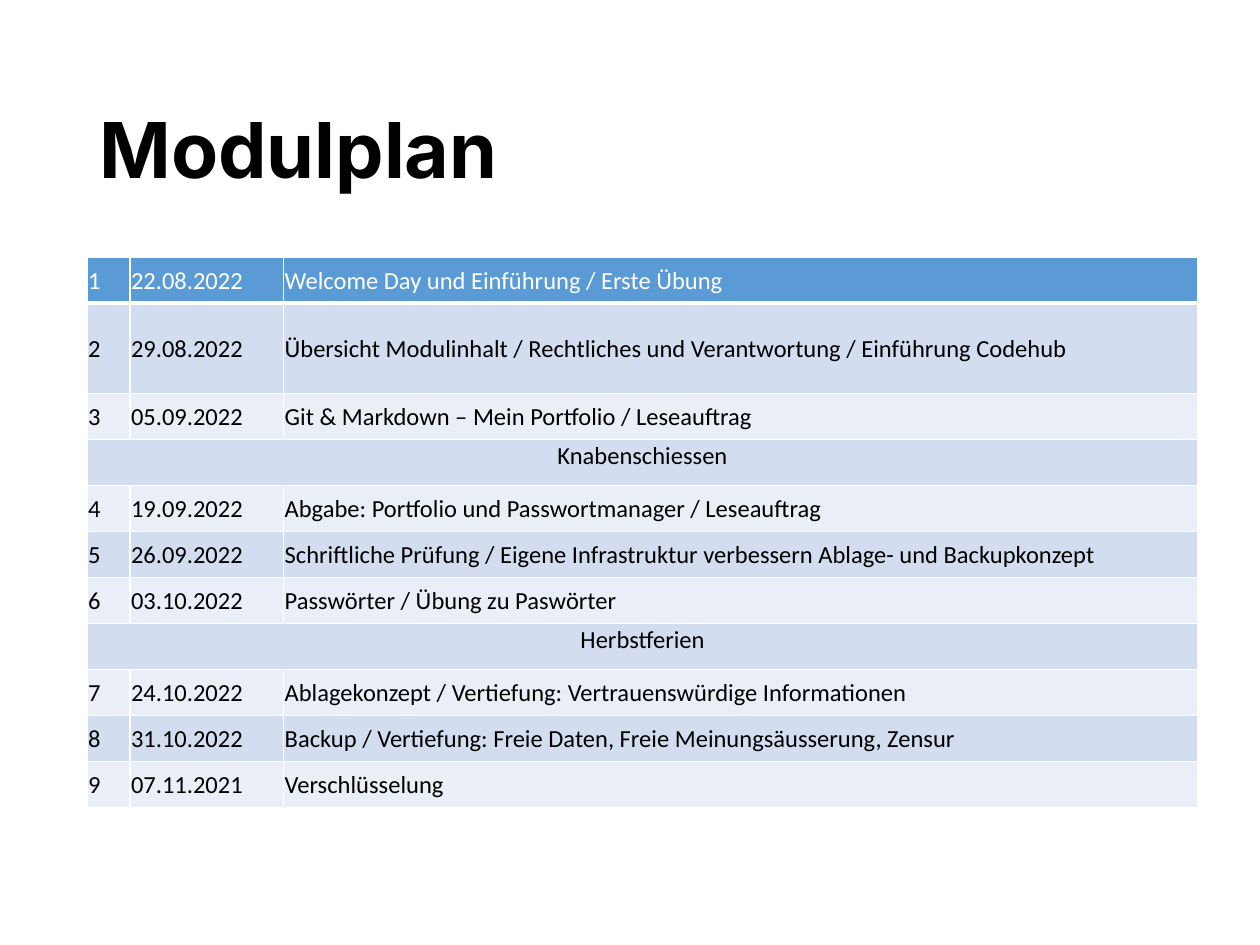
from lxml import etree
from pptx import Presentation
from pptx.dml.color import RGBColor
from pptx.enum.text import MSO_ANCHOR, PP_ALIGN
from pptx.oxml.ns import qn
from pptx.util import Inches, Pt

LEFT, CENTER = PP_ALIGN.LEFT, PP_ALIGN.CENTER
TOP, MIDDLE = MSO_ANCHOR.TOP, MSO_ANCHOR.MIDDLE

WHITE, BLACK = "FFFFFF", "000000"
HEADER_FILL = "5B9BD5"
BAND_FILLS = ("EAEFF7", "D2DEEF")
COLUMN_WIDTHS = (0.34, 1.22, 7.26)
TABLE_HEIGHT, TALL_ROW_HEIGHT = 4.37, 0.72
TALL_ROW = 1

SCHEDULE = [
    ("1", "22.08.2022", "Welcome Day und Einführung / Erste Übung"),
    ("2", "29.08.2022", "Übersicht Modulinhalt / Rechtliches und Verantwortung / Einführung Codehub"),
    ("3", "05.09.2022", "Git & Markdown – Mein Portfolio / Leseauftrag"),
    ("Knabenschiessen",),
    ("4", "19.09.2022", "Abgabe: Portfolio und Passwortmanager / Leseauftrag"),
    ("5", "26.09.2022", "Schriftliche Prüfung / Eigene Infrastruktur verbessern Ablage- und Backupkonzept"),
    ("6", "03.10.2022", "Passwörter / Übung zu Paswörter"),
    ("Herbstferien",),
    ("7", "24.10.2022", "Ablagekonzept / Vertiefung: Vertrauenswürdige Informationen"),
    ("8", "31.10.2022", "Backup / Vertiefung: Freie Daten, Freie Meinungsäusserung, Zensur"),
    ("9", "07.11.2021", "Verschlüsselung"),
]


def color(value):
    return RGBColor.from_string(value)


def apply(target, values):
    for name, value in values.items():
        setattr(target, name, value)


class PageBuilder:
    title_font = {"name": "Inter", "size": Pt(44), "bold": True}
    table_font = {"name": "Calibri", "size": Pt(14), "bold": False}
    cell_margins = {
        "margin_left": Inches(0.01),
        "margin_top": Inches(0.01),
        "margin_right": Inches(0.01),
        "margin_bottom": 0,
    }

    def __init__(self, page):
        self.page = page

    def add_text(self, frame, text, font, text_color, align=LEFT):
        para = frame.paragraphs[0]
        para.alignment = align
        span = para.add_run()
        span.text = text
        apply(span.font, font)
        span.font.color.rgb = color(text_color)
        return para

    def title(self, text, left, top, width, height):
        box = self.page.shapes.title
        apply(box, {"left": Inches(left), "top": Inches(top),
                    "width": Inches(width), "height": Inches(height)})
        apply(box.text_frame, {"word_wrap": True, "vertical_anchor": TOP})
        para = self.add_text(box.text_frame, text, self.title_font, BLACK)
        para.line_spacing = 0.9

    def borders(self, cell, bottom_width):
        properties = cell._tc.get_or_add_tcPr()
        for side, width in (("L", 1), ("R", 1), ("T", 1), ("B", bottom_width)):
            line = etree.SubElement(properties, qn(f"a:ln{side}"), w=str(Pt(width)))
            fill = etree.SubElement(line, qn("a:solidFill"))
            etree.SubElement(fill, qn("a:srgbClr"), val=WHITE)

    def cell(self, cell, fill, bottom_width, anchor):
        self.borders(cell, bottom_width)
        cell.fill.solid()
        cell.fill.fore_color.rgb = color(fill)
        apply(cell, {**self.cell_margins, "vertical_anchor": anchor})

    def schedule(self, entries, left, top):
        frame = self.page.shapes.add_table(
            len(entries), len(COLUMN_WIDTHS), Inches(left), Inches(top),
            Inches(sum(COLUMN_WIDTHS)), Inches(TABLE_HEIGHT))
        table = frame.table
        for column, width in zip(table.columns, COLUMN_WIDTHS):
            column.width = Inches(width)
        row_height = (TABLE_HEIGHT - TALL_ROW_HEIGHT) / (len(entries) - 1)
        for index, entry in enumerate(entries):
            table.rows[index].height = Inches(TALL_ROW_HEIGHT if index == TALL_ROW else row_height)
            header, holiday = index == 0, len(entry) == 1
            fill = HEADER_FILL if header else BAND_FILLS[index % 2]
            for cell in table.rows[index].cells:
                self.cell(cell, fill, 3 if header else 1, TOP if holiday else MIDDLE)
            if holiday:
                table.cell(index, 0).merge(table.cell(index, len(COLUMN_WIDTHS) - 1))
            for column, text in enumerate(entry):
                self.add_text(table.cell(index, column).text_frame, text, self.table_font,
                              WHITE if header else BLACK, CENTER if holiday else LEFT)


def main():
    deck = Presentation()
    deck.slide_width, deck.slide_height = Inches(10), Inches(7.5)
    builder = PageBuilder(deck.slides.add_slide(deck.slide_layouts[5]))
    builder.title("Modulplan", 0.69, 0.84, 8.62, 1.01)
    builder.schedule(SCHEDULE, 0.69, 2.04)
    deck.save("out.pptx")


if __name__ == "__main__":
    main()
